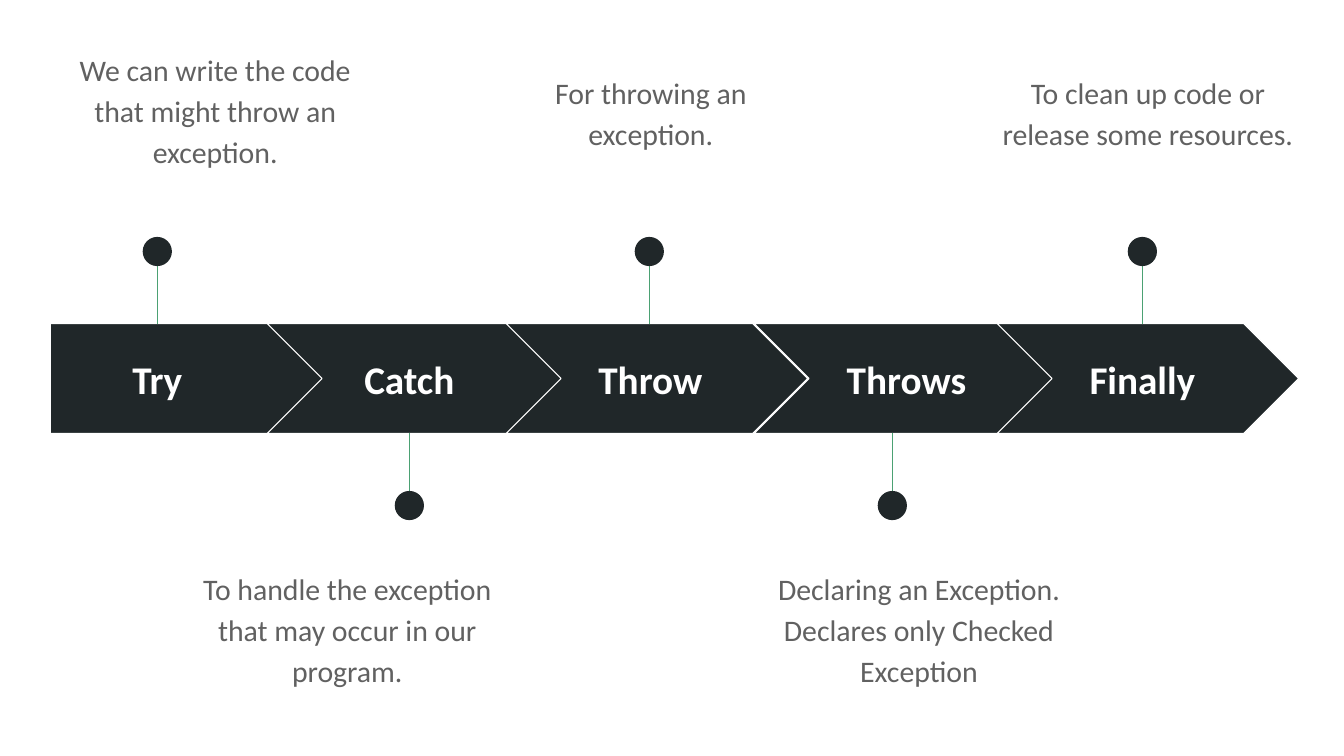
from collections import namedtuple

from lxml.etree import SubElement
from pptx import Presentation
from pptx.dml.color import RGBColor
from pptx.enum.shapes import MSO_CONNECTOR, MSO_SHAPE as SHAPE
from pptx.enum.text import MSO_ANCHOR as ANCHOR, PP_ALIGN
from pptx.oxml.ns import qn
from pptx.util import Inches, Pt

DARK = RGBColor(0x20, 0x27, 0x29)
GREEN = RGBColor(0x4B, 0xA1, 0x73)
GREY = RGBColor(0x61, 0x61, 0x61)
WHITE = RGBColor(0xFF, 0xFF, 0xFF)

BAND_TOP, BAND_HEIGHT = 3.21, 1.09
BAND_BOTTOM = BAND_TOP + BAND_HEIGHT
PIN_LENGTH, DOT_SIZE, DOT_INSET = 0.81, 0.29, 0.05
NOTE_WIDTH = 3.27

LABEL = {"size": Pt(28), "bold": True, "color": WHITE}
NOTE = {"size": Pt(21.3), "bold": False, "color": GREY}
NOTE_SPACING = {"line_spacing": 1.15, "space_after": Pt(21.3)}

Step = namedtuple("Step", "name arrow label pin note text")
# arrow and label are (left, width), pin is the x of the stem,
# note is (left, top, height)
STEPS = [
    Step("Try", (0.5, 2.73), (0.5, 2.12), 1.56, (0.5, 0.33, 1.82),
         "We can write the code that might throw an exception."),
    Step("Catch", (2.65, 2.99), (3.1, 1.92), 4.06, (1.81, 5.48, 1.32),
         "To handle the exception that may occur in our program."),
    Step("Throw", (5.02, 2.99), (5.49, 1.92), 6.44, (4.82, 0.56, 1.32),
         "For throwing an exception."),
    Step("Throws", (7.48, 2.99), (8.03, 1.92), 8.85, (7.48, 5.48, 1.32),
         "Declaring an Exception. Declares only Checked Exception"),
    Step("Finally", (9.89, 2.99), (10.37, 1.92), 11.33, (9.75, 0.56, 1.32),
         "To clean up code or release some resources."),
]


def add_solid(shapes, kind, left, top, width, height):
    """Add a dark preset shape without outline or shadow."""
    shape = shapes.add_shape(kind, *map(Inches, (left, top, width, height)))
    shape.shadow.inherit = False
    shape.fill.solid()
    shape.fill.fore_color.rgb = DARK
    shape.line.fill.background()
    return shape


def add_arrow(page, kind, left, width):
    """Add one white-edged arrow of the band."""
    arrow = add_solid(page.shapes, kind, left, BAND_TOP, width, BAND_HEIGHT)
    arrow.line.color.rgb = WHITE
    arrow.line.width = Pt(0.75)


def add_text(page, bounds, text, style, anchor, spacing):
    """Add a centred, wrapping text box."""
    box = page.shapes.add_textbox(*map(Inches, bounds))
    frame = box.text_frame
    settings = {"word_wrap": True, "vertical_anchor": anchor}
    for side in ("left", "right", "top", "bottom"):
        settings["margin_" + side] = Inches(0.13)
    for name, value in settings.items():
        setattr(frame, name, value)
    para = frame.paragraphs[0]
    for name, value in {"alignment": PP_ALIGN.CENTER, **spacing}.items():
        setattr(para, name, value)
    span = para.add_run()
    span.text = text
    span.font.name = "Calibri"
    span.font.size = style["size"]
    span.font.bold = style["bold"]
    span.font.color.rgb = style["color"]


def add_pin(page, x, above):
    """Add a stem with a dot, grouped, above or below the band."""
    edge = BAND_TOP if above else BAND_BOTTOM
    tip = edge - PIN_LENGTH if above else edge + PIN_LENGTH
    dot_top = tip - DOT_INSET if above else tip + DOT_INSET - DOT_SIZE
    group = page.shapes.add_group_shape()
    stem = group.shapes.add_connector(
        MSO_CONNECTOR.STRAIGHT, *map(Inches, (x, tip, x, edge)))
    stem.line.color.rgb = GREEN
    stem.line.width = Pt(0.75)
    SubElement(stem._element.spPr, qn("a:effectLst"))
    add_solid(group.shapes, SHAPE.OVAL, x - DOT_SIZE / 2, dot_top,
              DOT_SIZE, DOT_SIZE)


def add_step(page, index, step):
    """Add the arrow, label, pin and note of one step."""
    add_arrow(page, SHAPE.CHEVRON if index else SHAPE.PENTAGON, *step.arrow)
    left, width = step.label
    add_text(page, (left, 3.41, width, 0.69), step.name, LABEL,
             ANCHOR.MIDDLE, {})
    add_pin(page, step.pin, above=index % 2 == 0)
    left, top, height = step.note
    add_text(page, (left, top, NOTE_WIDTH, height), step.text, NOTE,
             ANCHOR.TOP, NOTE_SPACING)


def main():
    """Build the slide of exception handling keywords."""
    deck = Presentation()
    deck.slide_width, deck.slide_height = Inches(13.33), Inches(7.5)
    page = deck.slides.add_slide(deck.slide_layouts[6])
    for index, step in enumerate(STEPS):
        add_step(page, index, step)
    deck.save("out.pptx")


main()
